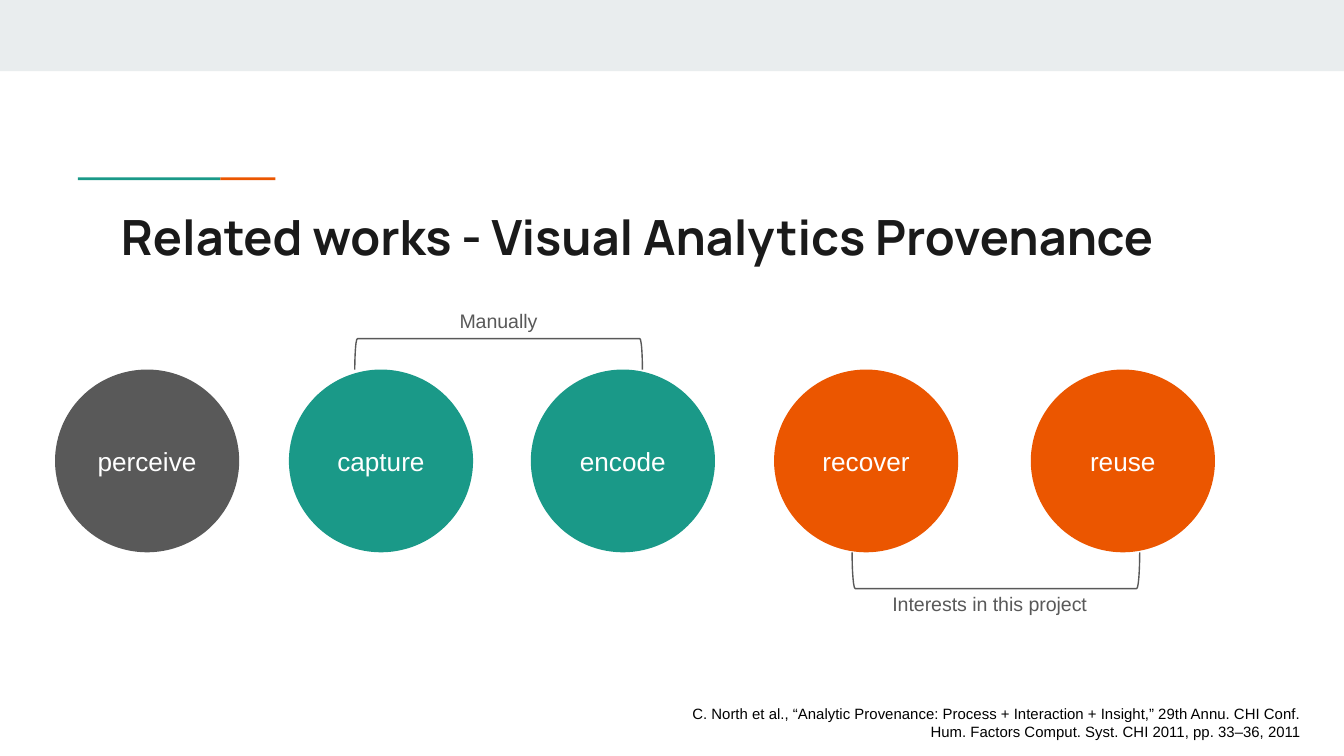
from pptx import Presentation
from pptx.dml.color import RGBColor
from pptx.enum.shapes import MSO_SHAPE
from pptx.enum.text import MSO_ANCHOR, PP_ALIGN
from pptx.util import Inches, Pt

RECTANGLE, ELLIPSE = MSO_SHAPE.RECTANGLE, MSO_SHAPE.OVAL
BRACKET = MSO_SHAPE.RIGHT_BRACKET
TOP, MIDDLE = MSO_ANCHOR.TOP, MSO_ANCHOR.MIDDLE
LEFT, CENTER, RIGHT = PP_ALIGN.LEFT, PP_ALIGN.CENTER, PP_ALIGN.RIGHT

SLIDE_WIDTH = 10
SLIDE_HEIGHT = SLIDE_WIDTH * 9 / 16
GRAY, TEAL, ORANGE = "595959", "1A9988", "EB5600"

TITLE = "Related works - Visual Analytics Provenance"
CITATION = (
    "C. North et al., “Analytic Provenance: Process + Interaction + Insight,” "
    "29th Annu. CHI Conf. Hum. Factors Comput. Syst. CHI 2011, pp. 33–36, 2011"
)

# Boxes are left, top, width, height in inches
BARS = [
    ((0, 0, SLIDE_WIDTH, 0.53), "E9EDEE"),
    ((0.58, 1.32, 1.06, 0.02), TEAL),
    ((1.64, 1.32, 0.41, 0.02), ORANGE),
]
STAGES = [
    ("perceive", 0.41, GRAY),
    ("capture", 2.15, TEAL),
    ("encode", 3.95, TEAL),
    ("recover", 5.76, ORANGE),
    ("reuse", 7.67, ORANGE),
]
STAGE_TOP, STAGE_WIDTH, STAGE_HEIGHT = 2.75, 1.37, 1.36
# Label, label box, bracket box as seen, rotation
BRACKETS = [
    ("Manually", (2.91, 2.24, 1.6, 0.29), (2.64, 2.52, 2.14, 0.23), 270),
    ("Interests in this project", (6.38, 4.35, 1.97, 0.28),
     (6.34, 4.11, 2.14, 0.27), 90),
]


def color(hex_value):
    return RGBColor.from_string(hex_value)


def place(shape, box):
    for name, value in zip(("left", "top", "width", "height"), box):
        setattr(shape, name, Inches(value))


def write(shape, text, size, hex_value, align=CENTER, anchor=MIDDLE,
          font="Arial", bold=False):
    frame = shape.text_frame
    frame.word_wrap = True
    frame.vertical_anchor = anchor
    paragraph = frame.paragraphs[0]
    paragraph.alignment = align
    run = paragraph.add_run()
    run.text = text
    run.font.color.rgb = color(hex_value)
    for name, value in {"name": font, "size": Pt(size), "bold": bold}.items():
        setattr(run.font, name, value)


def add_filled(slide, kind, box, fill):
    shape = slide.shapes.add_shape(kind, *map(Inches, box))
    shape.shadow.inherit = False
    shape.fill.solid()
    shape.fill.fore_color.rgb = color(fill)
    shape.line.fill.background()
    return shape


def add_label(slide, box, text, size, hex_value, align=CENTER):
    label = slide.shapes.add_textbox(*map(Inches, box))
    write(label, text, size, hex_value, align)


def add_bracket(slide, seen_box, rotation):
    """Turn an upright bracket a quarter so that it fills seen_box."""
    left, top, width, height = seen_box
    shift = (width - height) / 2
    box = (left + shift, top - shift, height, width)
    bracket = slide.shapes.add_shape(BRACKET, *map(Inches, box))
    bracket.shadow.inherit = False
    bracket.rotation = rotation
    bracket.fill.background()
    bracket.line.color.rgb = color(GRAY)
    bracket.line.width = Pt(0.75)


def main():
    presentation = Presentation()
    presentation.slide_width = Inches(SLIDE_WIDTH)
    presentation.slide_height = Inches(SLIDE_HEIGHT)
    slide = presentation.slides.add_slide(presentation.slide_layouts[5])

    for box, fill in BARS:
        add_filled(slide, RECTANGLE, box, fill)

    title = slide.shapes.title
    place(title, (0.8, 1.44, 8.41, 0.59))
    write(title, TITLE, 26, "1A1A1A", LEFT, TOP, "Manrope", True)
    for side in ("left", "top", "right", "bottom"):
        setattr(title.text_frame, f"margin_{side}", Inches(0.1))

    for text, left, fill in STAGES:
        box = (left, STAGE_TOP, STAGE_WIDTH, STAGE_HEIGHT)
        write(add_filled(slide, ELLIPSE, box, fill), text, 14, "FFFFFF")

    for text, label_box, bracket_box, rotation in BRACKETS:
        add_label(slide, label_box, text, 10.5, GRAY)
        add_bracket(slide, bracket_box, rotation)

    add_label(slide, (4.78, 5.19, 5, 0.37), CITATION, 8, "000000", RIGHT)
    presentation.save("out.pptx")


if __name__ == "__main__":
    main()
